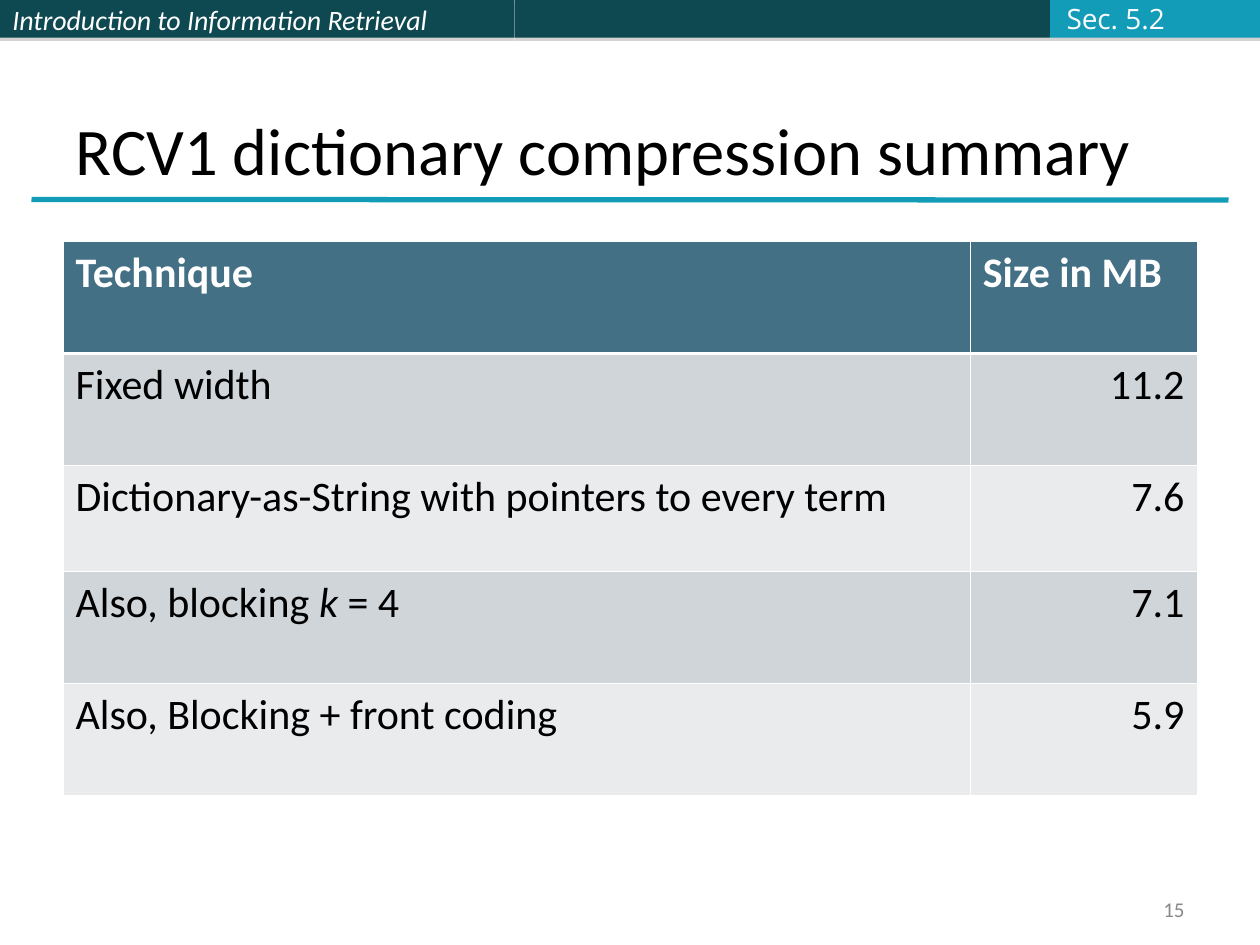
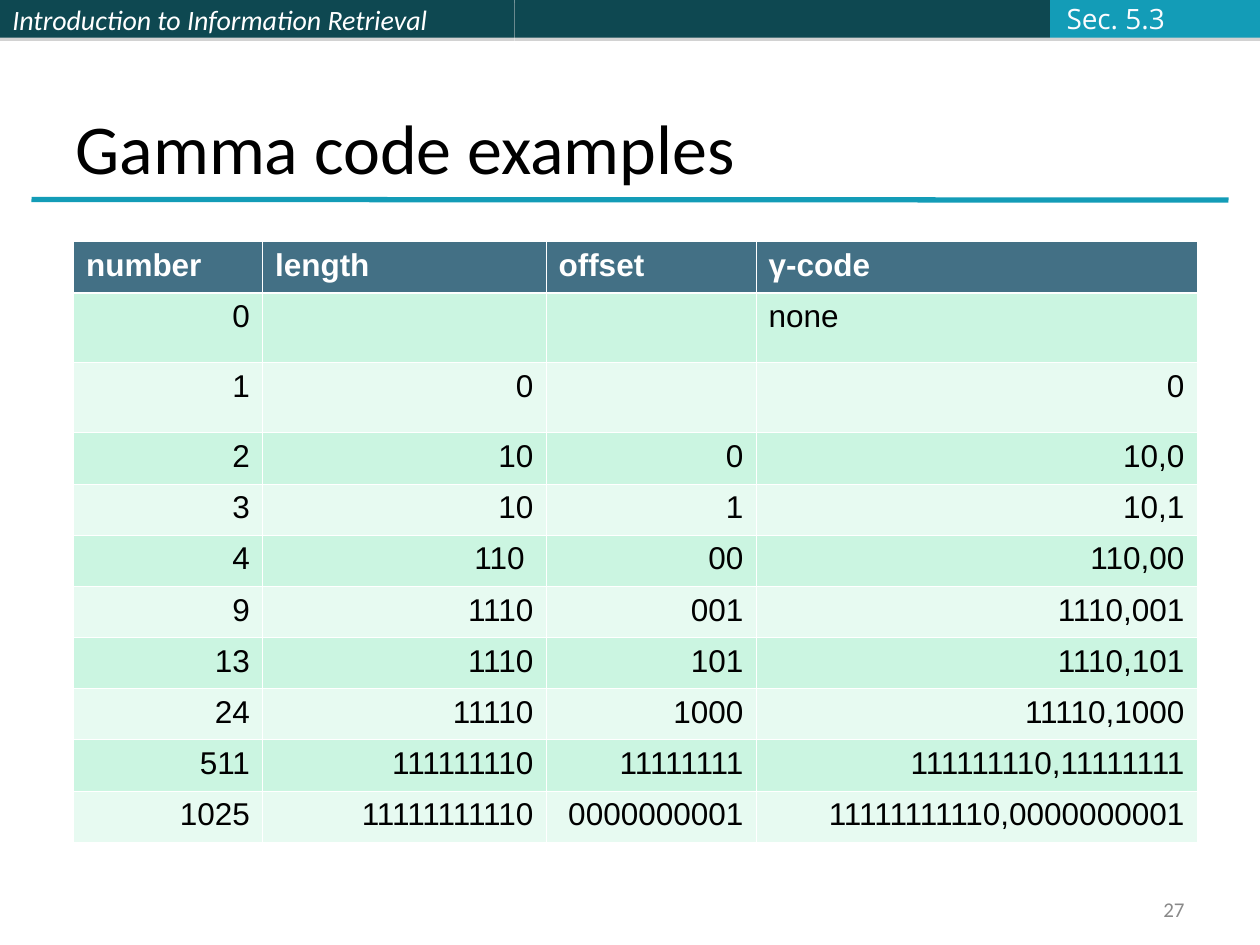
from dataclasses import dataclass
from typing import Optional

from lxml.etree import SubElement
from pptx import Presentation
from pptx.dml.color import RGBColor
from pptx.enum.shapes import MSO_CONNECTOR as Connector, MSO_SHAPE as Preset
from pptx.enum.text import MSO_ANCHOR as Anchor, MSO_AUTO_SIZE as AutoSize, PP_ALIGN as Align
from pptx.oxml.ns import qn
from pptx.util import Emu, Inches, Pt

COLORS = {
    "band": "0E4851", "accent": "139CB7", "shadow": "808080", "white": "FFFFFF",
    "section": "FBFCFF", "text": "000000", "number": "898989", "header": "437085",
    "gray": "CFD5D9", "light gray": "E9EBED", "mint": "CBF5E1", "light mint": "E7FAF1",
}

# Grid: 120 columns by 90 rows of equal squares
WIDTH, HEIGHT = Inches(10), Inches(7.5)
COLUMNS, ROWS = 120, 90
THIN, THICK = 0.45, 1.47


@dataclass(frozen=True)
class Area:
    left: float
    top: float
    width: float
    height: float

    def lengths(self) -> tuple[Emu, Emu, Emu, Emu]:
        return across(self.left), down(self.top), across(self.width), down(self.height)


@dataclass(frozen=True)
class TextStyle:
    font: str
    size: float
    color: str
    bold: bool = False
    italic: bool = False


@dataclass(frozen=True)
class Band:
    left: float
    width: float
    color: str
    text: str = ""


@dataclass(frozen=True)
class TableSpec:
    left: float
    columns: list[float]
    rows: list[float]
    font: str
    size: float
    stripes: tuple[str, str]
    cells: list[list[str]]  # asterisks enclose italics


@dataclass(frozen=True)
class Page:
    title: str
    title_size: float
    section: str
    number: str
    table: TableSpec


BANDS = [
    Band(0, 49, "band", "Introduction to Information Retrieval"),
    Band(49, 51, "band"),
    Band(100, 20, "accent"),
]
BAND_HEIGHT = 3.6
TABLE_TOP = 23
TITLE_AREA = Area(6, BAND_HEIGHT, 108, 15)
SECTION_AREA = Area(100.4, -0.5, 11.8, 4.4)
NUMBER_AREA = Area(86, 85, 28, 3.2)

BAND_STYLE = TextStyle("Calibri", 16, "white", italic=True)
SECTION_STYLE = TextStyle("Open Sans", 16, "section")
NUMBER_STYLE = TextStyle("Calibri", 12, "number")

PAGES = [
    Page("RCV1 dictionary compression summary", 38, "Sec. 5.2", "15", TableSpec(
        left=6, columns=[86.4, 21.6], rows=[10.67, 10.67, 10.1, 10.67, 10.67],
        font="Calibri", size=24, stripes=("gray", "light gray"),
        cells=[
            ["Technique", "Size in MB"],
            ["Fixed width", "11.2"],
            ["Dictionary-as-String with pointers to every term", "7.6"],
            ["Also, blocking *k *= 4", "7.1"],
            ["Also, Blocking + front coding", "5.9"],
        ])),
    Page("Gamma code examples", 40, "Sec. 5.3", "27", TableSpec(
        left=7, columns=[18, 27, 20, 42], rows=[4.88] + [6.67] * 2 + [4.88] * 8,
        font="Arial", size=18, stripes=("mint", "light mint"),
        cells=[
            ["number", "length", "offset", "γ-code"],
            ["0", "", "", "none"],
            ["1", "0", "", "0"],
            ["2", "10", "0", "10,0"],
            ["3", "10", "1", "10,1"],
            ["4", "110 ", "00", "110,00"],
            ["9", "1110", "001", "1110,001"],
            ["13", "1110", "101", "1110,101"],
            ["24", "11110", "1000", "11110,1000"],
            ["511", "111111110", "11111111", "111111110,11111111"],
            ["1025", "11111111110", "0000000001", "11111111110,0000000001"],
        ])),
]


def across(columns: float) -> Emu:
    return Emu(round(WIDTH * columns / COLUMNS))


def down(rows: float) -> Emu:
    return Emu(round(HEIGHT * rows / ROWS))


def rgb(name: str) -> RGBColor:
    return RGBColor.from_string(COLORS[name])


def write(frame, text: str, style: TextStyle, align=Align.LEFT) -> None:
    para = frame.paragraphs[0]
    para.alignment = align
    font = para.font
    font.name, font.size = style.font, Pt(style.size)
    font.bold, font.italic = style.bold, style.italic
    font.color.rgb = rgb(style.color)
    for index, part in enumerate(text.split("*")):
        if part:
            span = para.add_run()
            span.text = part
            if index % 2:
                span.font.italic = True


def add_shadow(shape) -> None:
    effects = SubElement(shape._element.spPr, qn("a:effectLst"))
    shadow = SubElement(effects, qn("a:outerShdw"), blurRad="0", dist=str(Pt(1.8)),
                        dir="5400000", algn="ctr", rotWithShape="0")
    color = SubElement(shadow, qn("a:srgbClr"), val=COLORS["shadow"])
    SubElement(color, qn("a:alpha"), val="35000")


def add_band(slide, band: Band) -> None:
    area = Area(band.left, 0, band.width, BAND_HEIGHT)
    box = slide.shapes.add_shape(Preset.RECTANGLE, *area.lengths())
    box.fill.solid()
    box.fill.fore_color.rgb = rgb(band.color)
    box.line.fill.background()
    add_shadow(box)
    if band.text:
        box.text_frame.vertical_anchor = Anchor.MIDDLE
        write(box.text_frame, band.text, BAND_STYLE)


def add_rule(slide) -> None:
    rule = slide.shapes.add_connector(Connector.STRAIGHT, across(3), down(19),
                                      across(117), down(19.05))
    rule.line.color.rgb = rgb("accent")
    rule.line.width = Pt(3)
    SubElement(rule._element.spPr, qn("a:effectLst"))


def add_text(slide, area: Area, text: str, style: TextStyle,
             align=Align.LEFT, wrap: bool = True) -> None:
    frame = slide.shapes.add_textbox(*area.lengths()).text_frame
    frame.word_wrap = wrap
    frame.auto_size = AutoSize.NONE if wrap else AutoSize.SHAPE_TO_FIT_TEXT
    frame.vertical_anchor = Anchor.MIDDLE
    write(frame, text, style, align)


def set_title(slide, text: str, size: float) -> None:
    title = slide.shapes.title
    title.left, title.top, title.width, title.height = TITLE_AREA.lengths()
    frame = title.text_frame
    frame.auto_size = AutoSize.NONE
    frame.vertical_anchor = Anchor.BOTTOM
    write(frame, text, TextStyle("Calibri", size, "text"))


def set_borders(cell, row: int) -> None:
    widths = {"L": THIN, "R": THIN, "T": THICK if row == 1 else THIN,
              "B": THICK if row == 0 else THIN}
    properties = cell._tc.get_or_add_tcPr()
    for side, width in widths.items():
        line = SubElement(properties, qn(f"a:ln{side}"), w=str(Pt(width)))
        fill = SubElement(line, qn("a:solidFill"))
        SubElement(fill, qn("a:srgbClr"), val=COLORS["white"])


def fill_cell(cell, row: int, text: str, spec: TableSpec) -> None:
    is_header = row == 0
    set_borders(cell, row)
    cell.fill.solid()
    cell.fill.fore_color.rgb = rgb("header" if is_header else spec.stripes[(row - 1) % 2])
    style = TextStyle(spec.font, spec.size, "white" if is_header else "text", bold=is_header)
    # Numbers go to the right, words to the left
    write(cell.text_frame, text, style, Align.RIGHT if text[:1].isdigit() else Align.LEFT)


def add_table(slide, spec: TableSpec) -> None:
    area = Area(spec.left, TABLE_TOP, sum(spec.columns), sum(spec.rows))
    table = slide.shapes.add_table(len(spec.rows), len(spec.columns), *area.lengths()).table
    table.horz_banding = False
    for column, width in zip(table.columns, spec.columns):
        column.width = across(width)
    for row, height in zip(table.rows, spec.rows):
        row.height = down(height)
    for row_index, texts in enumerate(spec.cells):
        for column_index, text in enumerate(texts):
            fill_cell(table.cell(row_index, column_index), row_index, text, spec)


def add_page(deck, page: Page) -> None:
    slide = deck.slides.add_slide(deck.slide_layouts.get_by_name("Title Only"))
    # Shared frame
    for band in BANDS:
        add_band(slide, band)
    add_rule(slide)
    # Content
    set_title(slide, page.title, page.title_size)
    add_table(slide, page.table)
    # Section and page number
    add_text(slide, SECTION_AREA, page.section, SECTION_STYLE, wrap=False)
    add_text(slide, NUMBER_AREA, page.number, NUMBER_STYLE, Align.RIGHT)


def main() -> None:
    deck = Presentation()
    deck.slide_width, deck.slide_height = WIDTH, HEIGHT
    for page in PAGES:
        add_page(deck, page)
    deck.save("out.pptx")


if __name__ == "__main__":
    main()
